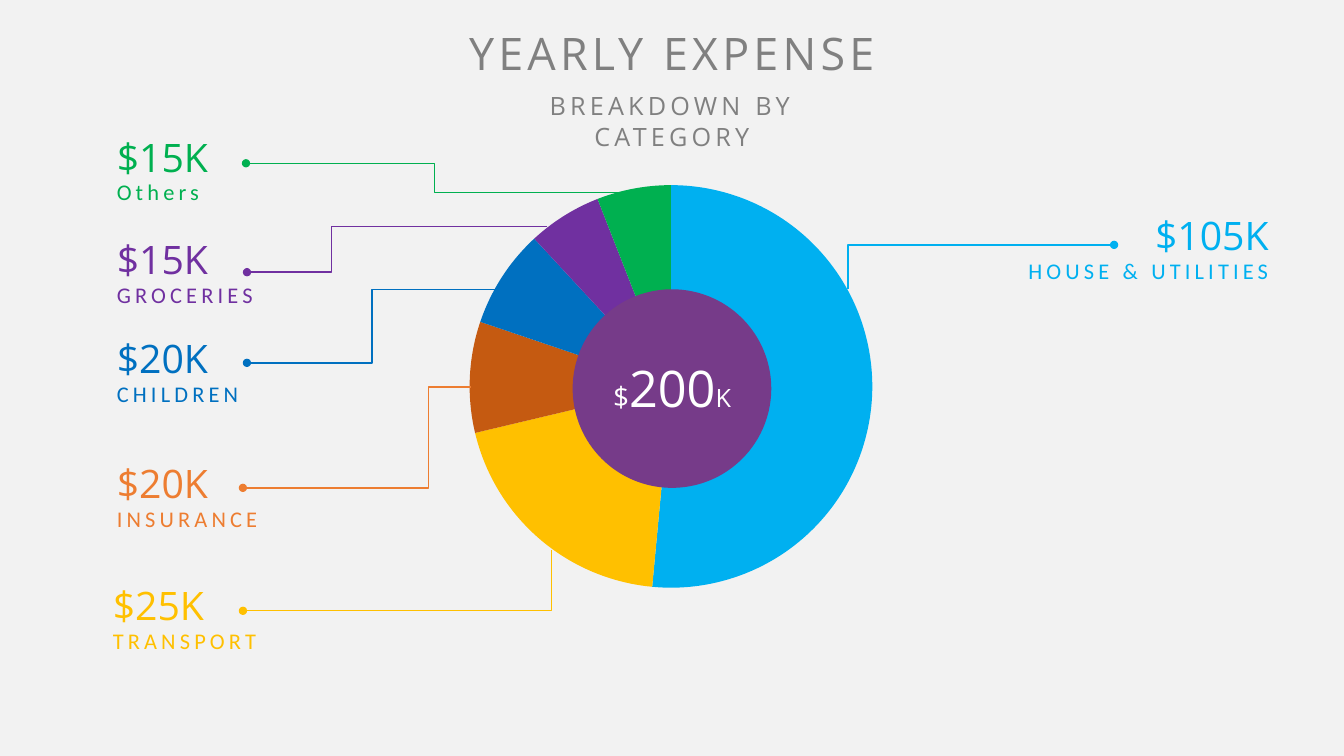
import pptx
import pptx.util
import pptx.oxml
import pptx.oxml.ns
import pptx.dml.color
import pptx.chart.data
import pptx.enum.chart
import pptx.enum.shapes
import pptx.enum.text
from dataclasses import dataclass

Inches = pptx.util.Inches
Align = pptx.enum.text.PP_ALIGN


@dataclass(frozen=True)
class Theme:
    """Colours, fonts and type sizes of the slide."""
    back: str = "F2F2F2"
    grey: str = "808080"
    white: str = "FFFFFF"
    black: str = "000000"
    plum: str = "763B89"
    sky: str = "00B0F0"
    gold: str = "FFC000"
    rust: str = "C55A11"
    orange: str = "ED7D31"
    blue: str = "0070C0"
    violet: str = "7030A0"
    green: str = "00B050"
    head: str = "Open Sans"
    body: str = "Calibri"
    title: int = 32
    sub: int = 18
    total: int = 36
    unit: int = 20
    amount: int = 28
    label: int = 16
    chart: int = 10
    gap: int = 300


look = Theme()


def rgb(code):
    """Turn a hex code into a colour."""
    return pptx.dml.color.RGBColor.from_string(code)


def node(tag, **attrs):
    """Make an XML element with the given attributes."""
    item = pptx.oxml.parse_xml(f"<{tag} {pptx.oxml.ns.nsdecls(tag[0])}/>")
    for key, value in attrs.items():
        item.set(key, str(value))
    return item


def write(shape, runs, color, align, face, gap=0):
    """Fill a shape with one paragraph of (text, size) runs."""
    frame = shape.text_frame
    style = {"word_wrap": True,
             "auto_size": pptx.enum.text.MSO_AUTO_SIZE.SHAPE_TO_FIT_TEXT,
             "vertical_anchor": pptx.enum.text.MSO_ANCHOR.TOP}
    for key, value in style.items():
        setattr(frame, key, value)
    para = frame.paragraphs[0]
    para.alignment = align
    for text, size in runs:
        run = para.add_run()
        run.text = text
        for key, value in {"name": face, "size": pptx.util.Pt(size)}.items():
            setattr(run.font, key, value)
        run.font.color.rgb = rgb(color)
        if gap:
            run._r.get_or_add_rPr().set("spc", str(gap))


def label(slide, box, *args, **more):
    """Add a text box in the given box."""
    shape = slide.shapes.add_textbox(*map(Inches, box))
    write(shape, *args, **more)


def header(slide, box):
    """Place the title and the subtitle below it."""
    left, top, width, height = box
    title = slide.shapes.title
    place = {"left": left, "top": top, "width": width, "height": 0.64}
    for key, value in place.items():
        setattr(title, key, Inches(value))
    write(title, [("YEARLY EXPENSE", look.title)], look.grey,
          Align.CENTER, look.head, gap=look.gap)
    label(slide, (left, top + 0.64, width, height - 0.64),
          [("BREAKDOWN BY CATEGORY", look.sub)], look.grey,
          Align.CENTER, look.head, gap=look.gap)


def pie(slide, box):
    """Place the pie chart with the total on a disc at its centre."""
    left, top, width, height = box
    data = pptx.chart.data.CategoryChartData()
    data.categories = ["1", "2", "3", "4", "5", "6"]
    data.add_series("Series 1", (52, 20, 9, 8, 6, 6))
    chart = slide.shapes.add_chart(
        pptx.enum.chart.XL_CHART_TYPE.PIE, *map(Inches, box), data).chart
    for key in ("has_legend", "has_title"):
        setattr(chart, key, False)
    font = {"name": look.body, "size": pptx.util.Pt(look.chart)}
    for key, value in font.items():
        setattr(chart.font, key, value)
    chart.font.color.rgb = rgb(look.black)
    plot = chart.plots[0]
    plot.vary_by_categories = True
    fills = (look.sky, look.gold, look.rust, look.blue, look.violet, look.green)
    for spot, color in enumerate(fills):
        fill = plot.series[0].points[spot].format.fill
        fill.solid()
        fill.fore_color.rgb = rgb(color)

    area = chart._chartSpace.find(".//" + pptx.oxml.ns.qn("c:plotArea"))
    for old in area.findall(pptx.oxml.ns.qn("c:layout")):
        area.remove(old)
    layout, manual = node("c:layout"), node("c:manualLayout")
    rules = {"layoutTarget": "inner", "xMode": "edge", "yMode": "edge",
             "x": 0.225, "y": 0.041, "w": 0.546, "h": 0.791}
    for key, value in rules.items():
        manual.append(node("c:" + key, val=value))
    layout.append(manual)
    area.insert(0, layout)

    disc = slide.shapes.add_shape(
        pptx.enum.shapes.MSO_SHAPE.OVAL,
        *map(Inches, (left + 2.67, top + 1.24, 1.97, 1.97)))
    disc.shadow.inherit = False
    disc.fill.solid()
    disc.fill.fore_color.rgb = rgb(look.plum)
    disc.line.fill.background()
    label(slide, (left + 2.8, top + 1.86, 1.71, 0.71),
          [("$", look.unit), ("200", look.total), ("K", look.sub)],
          look.white, Align.CENTER, look.head)


def leader(slide, start, bend, end, color):
    """Draw an elbow line that turns at the bend and ends in a dot."""
    line = slide.shapes.add_connector(
        pptx.enum.shapes.MSO_CONNECTOR.ELBOW, *map(Inches, start + end))
    line.line.color.rgb = rgb(color)
    line.line.width = pptx.util.Pt(1)
    line.line._get_or_add_ln().append(node("a:tailEnd", type="oval"))
    props = line._element.spPr
    props.append(node("a:effectLst"))
    turn = round((bend - start[0]) / (end[0] - start[0]) * 100000)
    guides = props.find(".//" + pptx.oxml.ns.qn("a:avLst"))
    guides.append(node("a:gd", name="adj1", fmla=f"val {turn}"))


def callout(slide, box, amount, name, color, align, route):
    """Place an amount above its category name, with a leader line."""
    left, top, width, height = box
    leader(slide, *route, color)
    label(slide, (left, top, width, 0.57), [(amount, look.amount)],
          color, align, look.head)
    label(slide, (left, top + 0.45, width, height - 0.45),
          [(name, look.label)], color, align, look.body, gap=look.gap)


def main():
    """Build the slide and save it."""
    deck = pptx.Presentation()
    deck.slide_width, deck.slide_height = Inches(13.33), Inches(7.5)
    slide = deck.slides.add_slide(deck.slide_layouts[5])
    slide.background.fill.solid()
    slide.background.fill.fore_color.rgb = rgb(look.back)
    pie(slide, (3.01, 1.63, 7.32, 5.05))
    header(slide, (4.55, 0.21, 4.23, 1.04))
    items = (
        (9.9, 2.05, "$105K", "HOUSE & UTILITIES", look.sky, Align.RIGHT,
         ((8.41, 2.87), 8.41, (11.05, 2.43))),
        (1.02, 5.72, "$25K", "TRANSPORT", look.gold, Align.LEFT,
         ((5.47, 5.46), 5.47, (2.41, 6.06))),
        (1.06, 4.51, "$20K", "INSURANCE", look.orange, Align.LEFT,
         ((4.67, 3.84), 4.25, (2.41, 4.84))),
        (1.06, 3.27, "$20K", "CHILDREN", look.blue, Align.LEFT,
         ((4.92, 2.87), 3.69, (2.45, 3.6))),
        (1.06, 2.29, "$15K", "GROCERIES", look.violet, Align.LEFT,
         ((5.43, 2.25), 3.29, (2.45, 2.7))),
        (1.06, 1.27, "$15K", "Others", look.green, Align.LEFT,
         ((6.17, 1.91), 4.31, (2.44, 1.62))),
    )
    for left, top, *rest in items:
        callout(slide, (left, top, 2.78, 0.82), *rest)
    deck.save("out.pptx")


if __name__ == "__main__":
    main()
